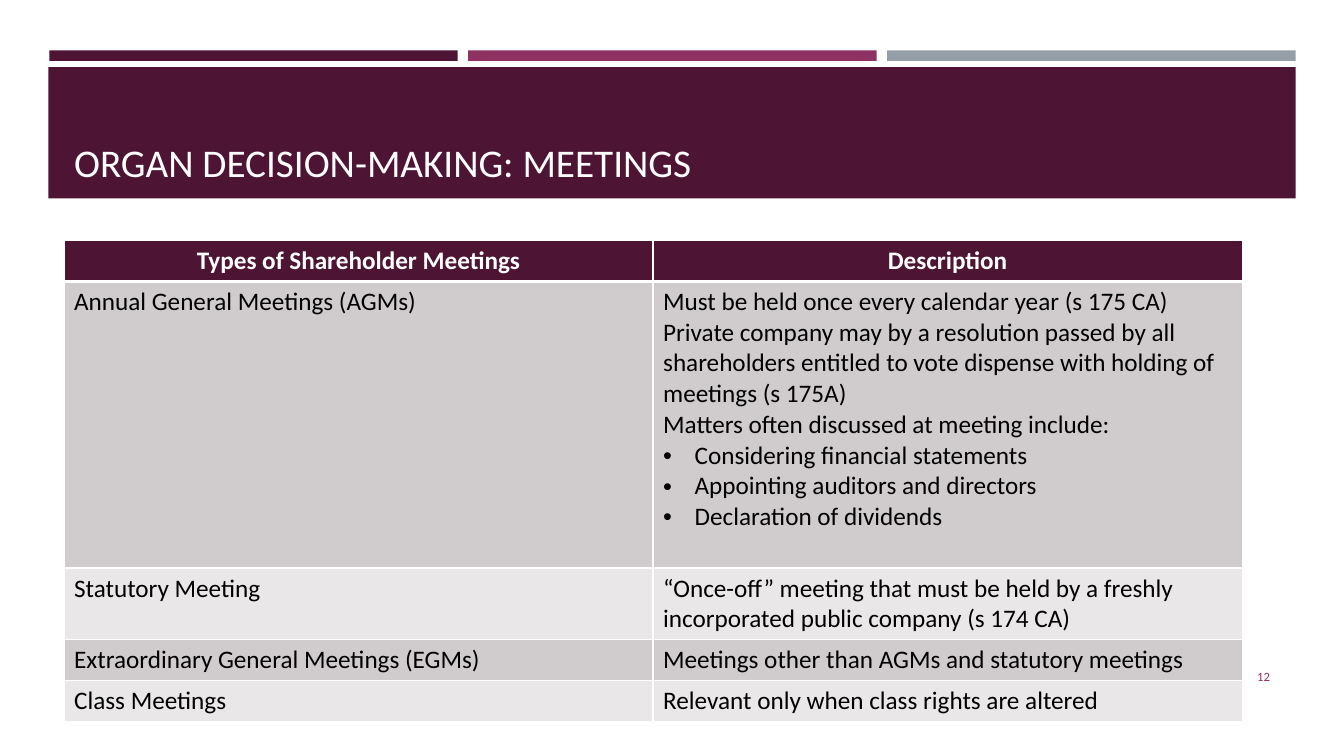
"""Build the slide on types of shareholder meetings."""
from dataclasses import dataclass

from lxml.etree import SubElement
from pptx import Presentation
from pptx.dml.color import RGBColor
from pptx.enum.shapes import MSO_SHAPE
from pptx.enum.text import MSO_ANCHOR, MSO_AUTO_SIZE, PP_ALIGN
from pptx.oxml.ns import qn
from pptx.slide import Slide
from pptx.table import _Cell
from pptx.text.text import TextFrame, _Paragraph
from pptx.util import Pt

PX = 9525
FONT = "Calibri"
PLUM, ROSE, GREY, WHITE, BLACK = "4D1434", "903163", "969FA7", "FFFFFF", "000000"
BANDS = ("D0CCCE", "E9E7E8")
INDENT = 30


@dataclass
class Box:
    """A place on the slide, in px."""
    left: int
    top: int
    width: int
    height: int

    def emu(self) -> tuple[int, int, int, int]:
        """Return the place in EMU."""
        return self.left * PX, self.top * PX, self.width * PX, self.height * PX


@dataclass
class Bar:
    """A filled rectangle."""
    box: Box
    fill: str


@dataclass
class Row:
    """A table row: kind of meeting, description lines and bullet points."""
    height: int
    kind: str
    lines: tuple[str, ...]
    points: tuple[str, ...] = ()


BARS = [Bar(Box(47 + 399 * i, 48, 389, 10), fill)
        for i, fill in enumerate((PLUM, ROSE, GREY))]
BARS.append(Bar(Box(46, 64, 1188, 125), PLUM))

ROWS = [
    Row(39, "Types of Shareholder Meetings", ("Description",)),
    Row(273, "Annual General Meetings (AGMs)", (
        "Must be held once every calendar year (s 175 CA)",
        "Private company may by a resolution passed by all shareholders "
        "entitled to vote dispense with holding of meetings (s 175A)",
        "Matters often discussed at meeting include:",
    ), (
        "Considering financial statements",
        "Appointing auditors and directors",
        "Declaration of dividends",
    )),
    Row(68, "Statutory Meeting", (
        "“Once-off” meeting that must be held by a freshly "
        "incorporated public company (s 174 CA)",)),
    Row(39, "Extraordinary General Meetings (EGMs)",
        ("Meetings other than AGMs and statutory meetings",)),
    Row(39, "Class Meetings", ("Relevant only when class rights are altered",)),
]


def color(code: str) -> RGBColor:
    """Turn a hex string into a colour."""
    return RGBColor.from_string(code)


def style(para: _Paragraph, size: int, code: str, align: PP_ALIGN,
          bold: bool = False) -> None:
    """Set the font and alignment of a paragraph."""
    para.alignment = align
    font = para.font
    font.name, font.size, font.bold = FONT, Pt(size), bold
    font.color.rgb = color(code)


def bullet(para: _Paragraph) -> None:
    """Give a paragraph a hanging bullet."""
    props = para._p.get_or_add_pPr()
    props.set("marL", str(INDENT * PX))
    props.set("indent", str(-INDENT * PX))
    SubElement(props, qn("a:buFont"), typeface="Arial")
    SubElement(props, qn("a:buChar"), char="•")


def border(cell: _Cell, top: int, bottom: int) -> None:
    """Draw white borders, with top and bottom widths in points."""
    props = cell._tc.get_or_add_tcPr()
    for side, width in (("L", 1), ("R", 1), ("T", top), ("B", bottom)):
        line = SubElement(props, qn(f"a:ln{side}"), w=str(Pt(width)))
        fill = SubElement(line, qn("a:solidFill"))
        SubElement(fill, qn("a:srgbClr"), val=WHITE)


def add_bar(slide: Slide, bar: Bar) -> None:
    """Draw one bar."""
    shape = slide.shapes.add_shape(MSO_SHAPE.RECTANGLE, *bar.box.emu())
    shape.shadow.inherit = False
    shape.fill.solid()
    shape.fill.fore_color.rgb = color(bar.fill)
    shape.line.fill.background()


def set_text(frame: TextFrame, text: str, anchor: MSO_ANCHOR) -> None:
    """Put wrapped text of fixed size in a frame."""
    frame.text = text
    frame.word_wrap = True
    frame.auto_size = MSO_AUTO_SIZE.NONE
    frame.vertical_anchor = anchor


def add_title(slide: Slide, text: str, box: Box) -> None:
    """Place and fill the title."""
    title = slide.shapes.title
    title.left, title.top, title.width, title.height = box.emu()
    set_text(title.text_frame, text, MSO_ANCHOR.BOTTOM)
    style(title.text_frame.paragraphs[0], 28, WHITE, PP_ALIGN.LEFT)


def add_page(slide: Slide, text: str, box: Box) -> None:
    """Write the page number."""
    frame = slide.shapes.add_textbox(*box.emu()).text_frame
    set_text(frame, text, MSO_ANCHOR.MIDDLE)
    style(frame.paragraphs[0], 9, ROSE, PP_ALIGN.RIGHT)


def fill_cell(cell: _Cell, row: int, lines: tuple[str, ...],
              points: tuple[str, ...] = ()) -> None:
    """Fill one cell and format it by its row number."""
    head = row == 0
    border(cell, 3 if row == 1 else 1, 3 if head else 1)
    cell.fill.solid()
    cell.fill.fore_color.rgb = color(PLUM if head else BANDS[(row - 1) % 2])
    cell.text_frame.text = "\n".join(lines + points)
    for i, para in enumerate(cell.text_frame.paragraphs):
        if i >= len(lines):
            bullet(para)
        style(para, 18, WHITE if head else BLACK,
              PP_ALIGN.CENTER if head else PP_ALIGN.LEFT, head)


def add_grid(slide: Slide, rows: list[Row], left: int, top: int, width: int) -> None:
    """Draw the table of meetings."""
    box = Box(left, top, width, sum(row.height for row in rows))
    table = slide.shapes.add_table(len(rows), 2, *box.emu()).table
    table.horz_banding = False
    for i, row in enumerate(rows):
        table.rows[i].height = row.height * PX
        fill_cell(table.cell(i, 0), i, (row.kind,))
        fill_cell(table.cell(i, 1), i, row.lines, row.points)


def main() -> None:
    """Build and save the slide."""
    deck = Presentation()
    deck.slide_width, deck.slide_height = 1280 * PX, 720 * PX
    slide = deck.slides.add_slide(deck.slide_layouts[5])
    for bar in BARS:
        add_bar(slide, bar)
    title = slide.shapes.title
    slide.shapes._spTree.append(title._element)
    add_title(slide, "ORGAN DECISION-MAKING: MEETINGS", Box(61, 74, 1158, 107))
    add_page(slide, "12", Box(1109, 625, 110, 38))
    add_grid(slide, ROWS, 61, 229, 1122)
    deck.save("out.pptx")


if __name__ == "__main__":
    main()
